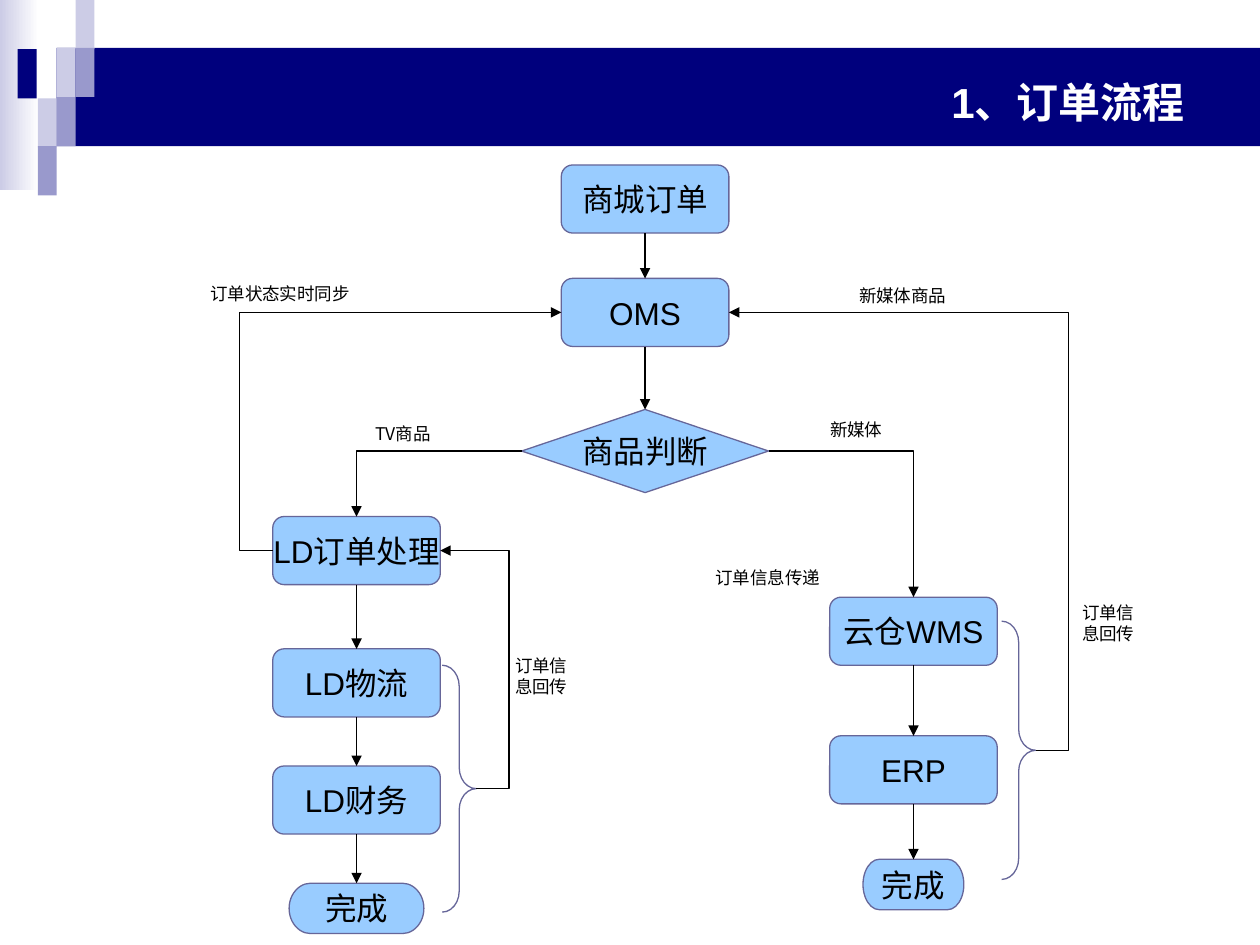
from lxml.etree import SubElement
from pptx import Presentation
from pptx.dml.color import RGBColor
from pptx.enum.shapes import MSO_CONNECTOR as Link, MSO_SHAPE as Shape
from pptx.enum.text import MSO_ANCHOR as Anchor, PP_ALIGN as Align
from pptx.oxml.ns import qn
from pptx.util import Inches, Pt

NAVY = RGBColor(0x00, 0x00, 0x7D)
LILAC = RGBColor(0xCC, 0xCC, 0xE6)
VIOLET = RGBColor(0x99, 0x99, 0xCC)
SKY = RGBColor(0x99, 0xCC, 0xFF)
SLATE = RGBColor(0x66, 0x66, 0x99)
WHITE = RGBColor(0xFF, 0xFF, 0xFF)
BLACK = RGBColor(0x00, 0x00, 0x00)
LATIN, CJK = "Arial", "Noto Sans CJK SC"

TITLE = "1、订单流程"
BANNER = (0.45, 0.38, 9.55, 0.78)
FADE = (0, 0, 0.31, 1.51)
TILE_W, TILE_H = 0.15, 0.39
TILES = [
    (0.45, 0.38, LILAC), (0.6, 0, LILAC), (0.6, 0.38, VIOLET), (0.3, 0.78, LILAC),
    (0.14, 0.39, NAVY), (0.45, 0.77, VIOLET), (0.3, 1.16, VIOLET),
]

LEFT, MIDDLE, RIGHT = 2.83, 5.12, 7.25
STEP = (Shape.ROUNDED_RECTANGLE, 1.33, 0.54)
CHOICE = (Shape.DIAMOND, 1.96, 0.66)
LONG_END = (Shape.FLOWCHART_TERMINATOR, 1.07, 0.4)
SHORT_END = (Shape.FLOWCHART_TERMINATOR, 0.8, 0.4)
NODES = {
    "mall": ("商城订单", STEP, MIDDLE, 1.31),
    "oms": ("OMS", STEP, MIDDLE, 2.21),
    "choice": ("商品判断", CHOICE, MIDDLE, 3.25),
    "ld_order": ("LD订单处理", STEP, LEFT, 4.1),
    "ld_logistics": ("LD物流", STEP, LEFT, 5.15),
    "ld_finance": ("LD财务", STEP, LEFT, 6.08),
    "ld_done": ("完成", LONG_END, LEFT, 7.01),
    "wms": ("云仓WMS", STEP, RIGHT, 4.74),
    "erp": ("ERP", STEP, RIGHT, 5.84),
    "wms_done": ("完成", SHORT_END, RIGHT, 6.82),
}
CHAINS = [
    ("mall", "oms", "choice"),
    ("ld_order", "ld_logistics", "ld_finance", "ld_done"),
    ("wms", "erp", "wms_done"),
]
TOP_SIDE, LEFT_SIDE, BOTTOM_SIDE, RIGHT_SIDE = range(4)
BRANCHES = [(LEFT_SIDE, "ld_order"), (RIGHT_SIDE, "wms")]
BRACE_W = 0.27
BRACES = [
    (3.51, 5.28, 1.96, 4.04, "ld_order"),
    (7.95, 4.93, 2.05, 8.48, "oms"),
]
SYNC_LANE = 1.9
LABELS = [
    ("TV商品", 2.88, 3.31, 0.83, 0.27),
    ("订单状态实时同步", 1.57, 2.2, 1.44, 0.27),
    ("订单信息回传", 3.99, 5.15, 0.66, 0.44),
    ("新媒体商品", 6.72, 2.21, 1.18, 0.27),
    ("订单信息传递", 5.58, 4.45, 1.27, 0.27),
    ("订单信息回传", 8.49, 4.73, 0.66, 0.44),
    ("新媒体", 6.49, 3.28, 0.83, 0.27),
]

deck = Presentation()
deck.slide_width, deck.slide_height = Inches(10), Inches(7.5)
slide = deck.slides.add_slide(deck.slide_layouts[6])


def write(holder, words, size, font, color=BLACK, align=Align.LEFT, anchor=Anchor.TOP,
          bold=False, wrap=True):
    frame = holder.text_frame
    frame.word_wrap = wrap
    frame.vertical_anchor = anchor
    paragraph = frame.paragraphs[0]
    paragraph.alignment = align
    run = paragraph.add_run()
    run.text = words
    run.font.size, run.font.name, run.font.bold = Pt(size), font, bold
    run.font.color.rgb = color
    SubElement(run.font._element, qn("a:ea"), typeface=CJK)


def add_figure(kind, box, fill=None, line=None):
    figure = slide.shapes.add_shape(kind, *map(Inches, box))
    figure.shadow.inherit = False
    if fill is None:
        figure.fill.background()
    else:
        figure.fill.solid()
        figure.fill.fore_color.rgb = fill
    if line is None:
        figure.line.fill.background()
    else:
        figure.line.color.rgb = line
        figure.line.width = Pt(0.75)
    return figure


def add_text(words, box, *style, **options):
    write(slide.shapes.add_textbox(*map(Inches, box)), words, *style, **options)


def add_arrow(kind, target, target_side, source=None, source_side=None, start=(0, 0)):
    x, y = map(Inches, start)
    arrow = slide.shapes.add_connector(kind, x, y, x, y)
    if source is not None:
        arrow.begin_connect(source, source_side)
    arrow.end_connect(target, target_side)
    arrow.line.color.rgb = BLACK
    arrow.line.width = Pt(0.75)
    SubElement(arrow.line._get_or_add_ln(), qn("a:tailEnd"), type="triangle")
    SubElement(arrow._element.spPr, qn("a:effectLst"))
    return arrow


def set_lane(arrow, lane):
    bend = (Inches(lane) - arrow.begin_x) / (arrow.end_x - arrow.begin_x)
    guides = arrow._element.spPr.find(qn("a:prstGeom")).find(qn("a:avLst"))
    SubElement(guides, qn("a:gd"), name="adj1", fmla=f"val {round(bend * 100000)}")


fade = add_figure(Shape.RECTANGLE, FADE, WHITE)
fade.fill.gradient()
fade.fill.gradient_angle = 180
for stop, color in zip(fade.fill.gradient_stops, (WHITE, LILAC)):
    stop.color.rgb = color
add_figure(Shape.RECTANGLE, BANNER, NAVY)
for left, top, color in TILES:
    add_figure(Shape.RECTANGLE, (left, top, TILE_W, TILE_H), color)
add_text(TITLE, (0.5, 0.3, 9, 1.01), 24, LATIN, color=WHITE, align=Align.RIGHT,
         anchor=Anchor.MIDDLE, bold=True)

nodes = {}
for key, (words, (kind, width, height), center, top) in NODES.items():
    nodes[key] = add_figure(kind, (center - width / 2, top, width, height), SKY, SLATE)
    write(nodes[key], words, 18, LATIN, align=Align.CENTER, anchor=Anchor.MIDDLE, wrap=False)

for chain in CHAINS:
    for upper, lower in zip(chain, chain[1:]):
        add_arrow(Link.STRAIGHT, nodes[lower], TOP_SIDE, nodes[upper], BOTTOM_SIDE)

for side, key in BRANCHES:
    branch = add_arrow(Link.ELBOW, nodes[key], TOP_SIDE, nodes["choice"], side)
    branch._element.spPr.find(qn("a:prstGeom")).set("prst", "bentConnector2")

sync = add_arrow(Link.ELBOW, nodes["oms"], LEFT_SIDE, nodes["ld_order"], LEFT_SIDE)
set_lane(sync, SYNC_LANE)

for left, top, height, lane, key in BRACES:
    brace = add_figure(Shape.RIGHT_BRACE, (left, top, BRACE_W, height), line=SLATE)
    brace.adjustments[0] = 0.62
    feedback = add_arrow(Link.ELBOW, nodes[key], RIGHT_SIDE,
                         start=(left + BRACE_W, top + height / 2))
    set_lane(feedback, lane)

for words, *box in LABELS:
    add_text(words, box, 10, CJK)

deck.save("out.pptx")
